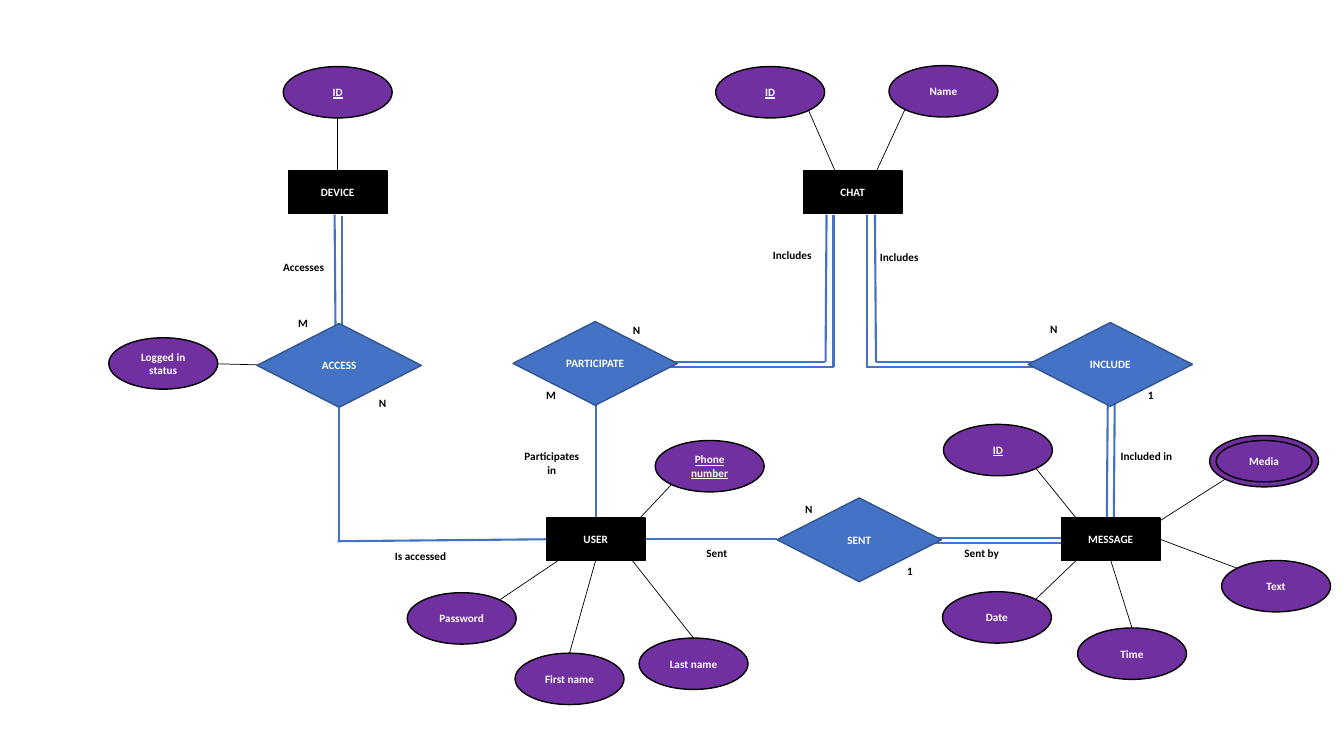
"""Entity-relationship diagram of a chat application."""
from typing import Any, NamedTuple

from lxml import etree
from pptx import Presentation
from pptx import util as u
from pptx.dml import color
from pptx.enum import shapes, text
from pptx.oxml import ns

COLORS = {
    "entity": "000000",
    "attribute": "7030A0",
    "relation": "4472C4",
    "relation_edge": "325491",
    "ink": "000000",
    "paper": "FFFFFF",
}
TEXT_FORMAT = {"name": "Calibri", "size": u.Pt(8), "bold": True}
CAPTION_HEIGHT = 17.3


class Style(NamedTuple):
    """Look and size shared by one kind of node."""
    shape: Any
    width: float
    height: float
    fill: str
    edge: str


class Node(NamedTuple):
    """A labelled shape, placed by its centre."""
    label: str
    x: float
    y: float
    style: Style
    is_key: bool = False


class Line(NamedTuple):
    """A straight line between two points."""
    x1: float
    y1: float
    x2: float
    y2: float


class Caption(NamedTuple):
    """Free text, placed by its top left corner."""
    label: str
    left: float
    top: float
    width: float = 15.1
    align: Any = text.PP_ALIGN.LEFT


KIND = shapes.MSO_SHAPE
ENTITY = Style(KIND.RECTANGLE, 70.6, 30.4, "entity", "ink")
RELATION = Style(KIND.FLOWCHART_DECISION, 117.4, 59.8, "relation", "relation_edge")
ATTRIBUTE = Style(KIND.OVAL, 77.8, 36.7, "attribute", "ink")
INNER_RING = ATTRIBUTE._replace(width=68.4, height=29.5)

NODES = [
    Node("DEVICE", 241.2, 137.5, ENTITY),
    Node("CHAT", 609.1, 137.5, ENTITY),
    Node("USER", 425.5, 385.2, ENTITY),
    Node("MESSAGE", 793.4, 385.2, ENTITY),
    Node("ACCESS", 242.3, 261, RELATION),
    Node("PARTICIPATE", 425.2, 259.6, RELATION),
    Node("INCLUDE", 793.1, 260.3, RELATION),
    Node("SENT", 613.8, 385.6, RELATION),
    Node("ID", 241.2, 65.9, ATTRIBUTE, True),
    Node("Logged in status", 116.6, 259.6, ATTRIBUTE),
    Node("ID", 550.1, 65.9, ATTRIBUTE, True),
    Node("Name", 673.9, 65.2, ATTRIBUTE),
    Node("Phone number", 506.9, 333, ATTRIBUTE, True),
    Node("Password", 329.8, 441.7, ATTRIBUTE),
    Node("First name", 406.8, 484.9, ATTRIBUTE),
    Node("Last name", 495.4, 474.1, ATTRIBUTE),
    Node("ID", 712.8, 321.5, ATTRIBUTE, True),
    Node("", 902.9, 329.4, ATTRIBUTE),
    Node("Media", 902.9, 329.4, INNER_RING),
    Node("Text", 911.5, 418.7, ATTRIBUTE),
    Node("Date", 712.1, 441, ATTRIBUTE),
    Node("Time", 808.6, 466.9, ATTRIBUTE),
]

ATTRIBUTE_LINES = [
    Line(241.2, 122.4, 241.2, 84.2),    # device: ID
    Line(155.5, 259.9, 183.6, 260.6),   # access: logged in status
    Line(597.6, 124.6, 577.4, 78.5),    # chat: ID
    Line(625, 124.6, 646.6, 77.8),      # chat: name
    Line(479.5, 346.3, 454.3, 373),     # user: phone number
    Line(357.1, 428.4, 403.2, 397.4),   # user: password
    Line(406.8, 466.6, 425.5, 400.3),   # user: first name
    Line(447.1, 394.6, 495.4, 455.8),   # user: last name
    Line(740.2, 334.8, 771.1, 373),     # message: ID
    Line(823.7, 375.1, 875.5, 342),     # message: media
    Line(828.7, 385.2, 884.2, 406.1),   # message: text
    Line(774.7, 394.6, 740.2, 427.7),   # message: date
    Line(793.4, 400.3, 808.6, 448.6),   # message: time
]

RELATION_LINES = [
    # device to access, doubled
    Line(239, 153.4, 239.8, 250.6),
    Line(244.1, 154.1, 244.1, 244.1),
    # access to user
    Line(241.9, 290.2, 241.9, 386.6),
    Line(390.2, 385.2, 241.2, 386.6),
    # participate to user
    Line(425.5, 289.4, 425.5, 370.1),
    # chat to participate, doubled
    Line(590.4, 153.4, 589.7, 258.5),
    Line(589, 258.5, 463, 258.5),
    Line(595.4, 153.4, 595.4, 262.1),
    Line(595.4, 262.1, 465.1, 262.1),
    # chat to include, doubled
    Line(625, 153.4, 625.7, 258.5),
    Line(763.9, 258.5, 625.7, 258.5),
    Line(619.2, 153.4, 619.2, 262.1),
    Line(763.9, 262.1, 618.5, 262.1),
    # include to message, doubled
    Line(796.3, 281.5, 795.6, 370.1),
    Line(791.3, 283.7, 790.6, 372.2),
    # user to sent
    Line(555.1, 385.2, 460.8, 385.2),
    # sent to message, doubled
    Line(768.2, 384.5, 642.2, 384.5),
    Line(772.6, 388.1, 635, 388.1),
]

CAPTIONS = [
    Caption("Accesses", 195.1, 182.2, 54),
    Caption("Is accessed", 275, 388.8, 54),
    Caption("Participates in", 367.2, 317.5, 54, text.PP_ALIGN.CENTER),
    Caption("Includes", 545, 174.2, 46.1),
    Caption("Includes", 621.4, 175, 46.1),
    Caption("Included in", 793.4, 317.5, 54),
    Caption("Sent", 497.5, 386.6, 46.1),
    Caption("Sent by", 681.8, 386.6, 46.1),
    Caption("M", 205.9, 222.5),
    Caption("N", 263.5, 279.4),
    Caption("N", 445, 227.5),
    Caption("M", 383, 273.6),
    Caption("N", 743, 226.8),
    Caption("1", 812.9, 273.6),
    Caption("N", 568.1, 355),
    Caption("1", 640.8, 399.6),
]


def rgb(name: str) -> color.RGBColor:
    """Look up a named colour."""
    return color.RGBColor.from_string(COLORS[name])


def write(frame: Any, label: str, ink: str, align: Any, underline: bool = False) -> None:
    """Put one formatted line of text into a text frame."""
    frame.word_wrap = True
    para = frame.paragraphs[0]
    para.alignment = align
    span = para.add_run()
    span.text = label
    for name, value in {**TEXT_FORMAT, "underline": underline}.items():
        setattr(span.font, name, value)
    span.font.color.rgb = rgb(ink)


def draw_line(page: Any, line: Line, ink: str, weight: float) -> None:
    """Draw a straight connector without a shadow."""
    ends = [u.Pt(value) for value in line]
    connector = page.shapes.add_connector(shapes.MSO_CONNECTOR.STRAIGHT, *ends)
    connector.line.color.rgb = rgb(ink)
    connector.line.width = u.Pt(weight)
    etree.SubElement(connector._element.spPr, ns.qn("a:effectLst"))


def draw_node(page: Any, node: Node) -> None:
    """Draw a node around its centre, with its label if it has one."""
    style = node.style
    place = (node.x - style.width / 2, node.y - style.height / 2, style.width, style.height)
    box = page.shapes.add_shape(style.shape, *[u.Pt(value) for value in place])
    box.shadow.inherit = False
    box.fill.solid()
    box.fill.fore_color.rgb = rgb(style.fill)
    box.line.color.rgb = rgb(style.edge)
    box.line.width = u.Pt(1)
    if node.label:
        box.text_frame.vertical_anchor = text.MSO_ANCHOR.MIDDLE
        write(box.text_frame, node.label, "paper", text.PP_ALIGN.CENTER, node.is_key)


def draw_caption(page: Any, caption: Caption) -> None:
    """Draw the text beside a relation line."""
    place = (caption.left, caption.top, caption.width, CAPTION_HEIGHT)
    box = page.shapes.add_textbox(*[u.Pt(value) for value in place])
    write(box.text_frame, caption.label, "ink", caption.align)


def main() -> None:
    """Build the deck and save it."""
    deck = Presentation()
    deck.slide_width, deck.slide_height = u.Pt(960), u.Pt(540)
    page = deck.slides.add_slide(deck.slide_layouts[6])
    for line in RELATION_LINES:
        draw_line(page, line, "relation", 1.5)
    for line in ATTRIBUTE_LINES:
        draw_line(page, line, "ink", 0.5)
    for node in NODES:
        draw_node(page, node)
    for caption in CAPTIONS:
        draw_caption(page, caption)
    deck.save("out.pptx")


main()
